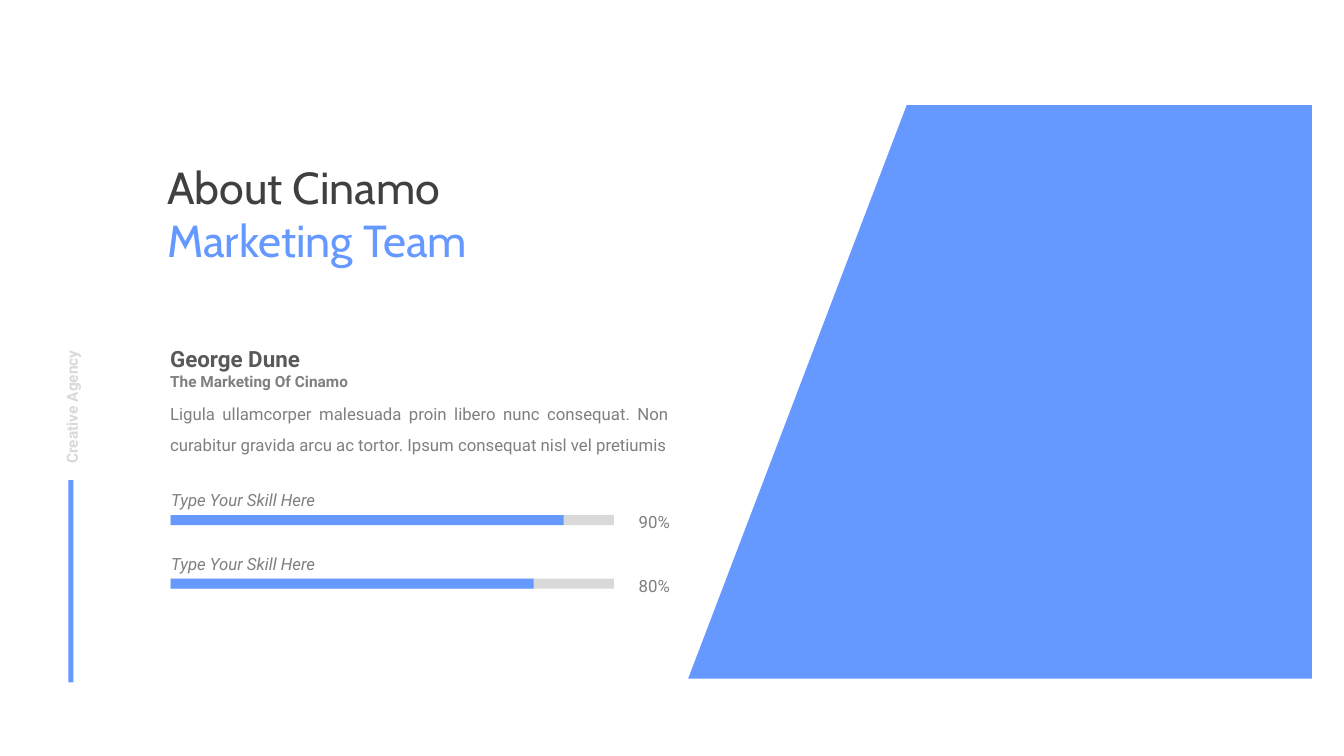
"""Build the marketing team slide with a profile, skill bars and a slanted panel."""
from pptx import Presentation
from pptx.dml.color import RGBColor
from pptx.enum.shapes import MSO_SHAPE
from pptx.enum.text import PP_ALIGN
from pptx.util import Pt

RECTANGLE = MSO_SHAPE.RECTANGLE
LEFT = PP_ALIGN.LEFT
JUSTIFY = PP_ALIGN.JUSTIFY
COLORS = {
    "blue": "6699FF",
    "track": "D9D9D9",
    "title": "404040",
    "name": "595959",
    "body": "7F7F7F",
}


def paint(shape, color):
    shape.shadow.inherit = False
    shape.fill.solid()
    shape.fill.fore_color.rgb = RGBColor.from_string(COLORS[color])
    shape.line.fill.background()


def add_text(bounds, runs, size, font="Roboto", align=JUSTIFY, spacing=1.5,
             inset=(7.2, 3.6), bold=False, italic=False):
    box = slide.shapes.add_textbox(*map(Pt, bounds))
    frame = box.text_frame
    frame.word_wrap = True
    frame.margin_left = frame.margin_right = Pt(inset[0])
    frame.margin_top = frame.margin_bottom = Pt(inset[1])
    paragraph = frame.paragraphs[0]
    paragraph.alignment = align
    paragraph.line_spacing = spacing
    for words, color in runs:
        run = paragraph.add_run()
        run.text = words
        run.font.name = font
        run.font.size = Pt(size)
        run.font.bold = bold
        run.font.italic = italic
        run.font.color.rgb = RGBColor.from_string(COLORS[color])
    return box


presentation = Presentation()
presentation.slide_width = Pt(960.5)
presentation.slide_height = Pt(540)
slide = presentation.slides.add_slide(presentation.slide_layouts[6])

panel_outline = slide.shapes.build_freeform(Pt(648), Pt(75), scale=1.0)
panel_outline.add_line_segments(
    [(Pt(x), Pt(y)) for x, y in ((937.5, 75), (937.5, 484.7), (491.8, 484.7))],
    close=True,
)
paint(panel_outline.convert_to_shape(), "blue")

add_text((112.3, 110.2, 274.3, 84.2),
         [("About Cinamo ", "title"), ("Marketing Team", "blue")],
         32, font="Cabin", align=LEFT, spacing=1)
add_text((114.5, 233.3, 187.2, 36), [("George Dune", "name")], 16, bold=True)
add_text((114.5, 255.6, 172.8, 27.4), [("The Marketing Of Cinamo", "body")], 11, bold=True)
add_text((114.5, 277.9, 370.8, 72),
         [("Ligula ullamcorper malesuada proin libero nunc consequat. Non curabitur "
           "gravida arcu ac tortor. Ipsum consequat nisl vel pretiumis", "body")], 12)

skills = [("Type Your Skill Here", "90%", 281), ("Type Your Skill Here", "80%", 259.5)]
for row, (skill, percent, filled_width) in enumerate(skills):
    bar_top = 367.9 + row * 45.4
    for width, color in ((316.8, "track"), (filled_width, "blue")):
        bar = slide.shapes.add_shape(RECTANGLE, Pt(121.9), Pt(bar_top), Pt(width), Pt(7.2))
        paint(bar, color)
    add_text((122.4, bar_top - 25.2, 151.2, 21.6), [(skill, "body")], 12,
             align=LEFT, inset=(0, 0), italic=True)
    add_text((456.5, bar_top - 9.3, 36, 21.6), [(percent, "body")], 12, inset=(0, 0))

side_bar = slide.shapes.add_shape(RECTANGLE, Pt(48.8), Pt(343), Pt(3.6), Pt(144.5))
paint(side_bar, "blue")
tagline = add_text((-6.5, 270, 109.4, 27.4), [("Creative Agency", "track")], 11, bold=True)
tagline.rotation = 270

presentation.save("out.pptx")
